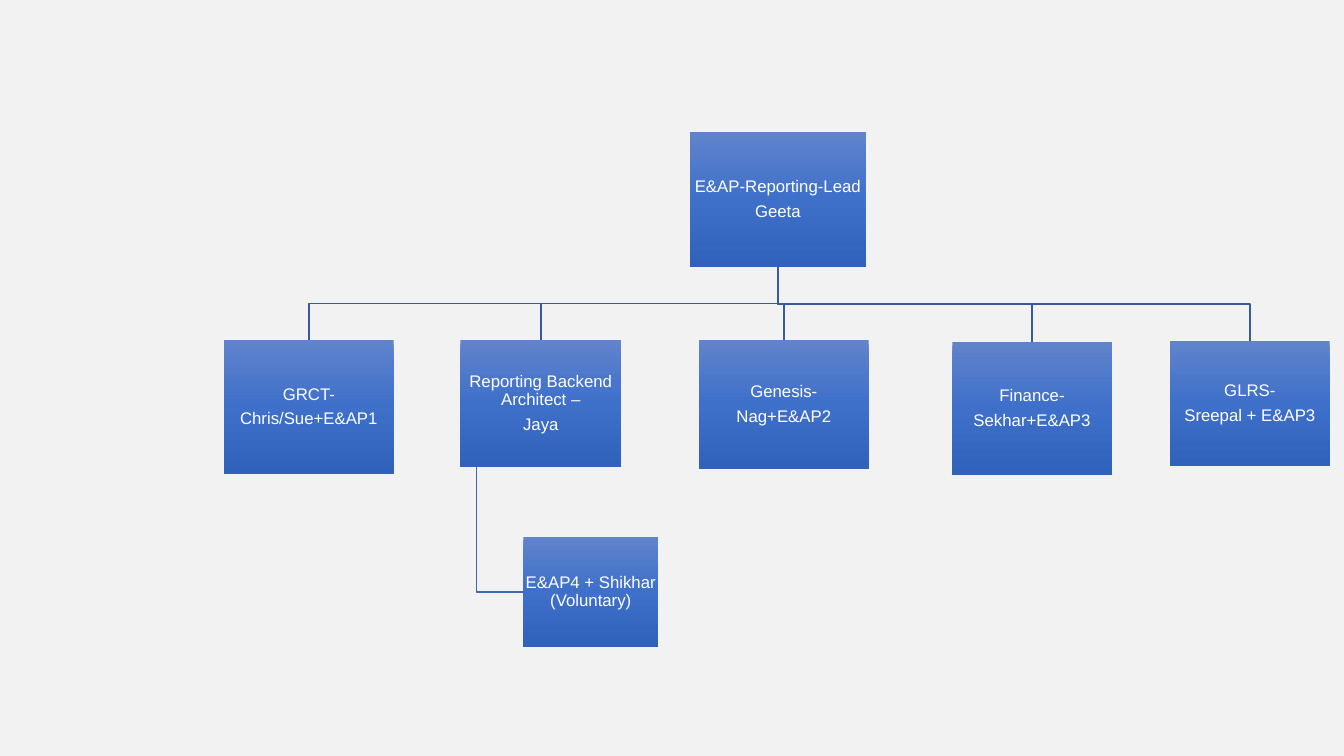
from copy import deepcopy

from pptx import Presentation
from pptx.dml.color import RGBColor
from pptx.enum.shapes import MSO_SHAPE as Kind
from pptx.enum.text import MSO_ANCHOR as Anchor, PP_ALIGN as Align
from pptx.oxml.ns import qn
from pptx.util import Cm, Pt

TOP, MID, LOW = "6183CB", "3E70CA", "3062BB"

# Each box: left, top, width, height in cm
LEAD = ((17.39, 3.33, 4.43, 3.4), "E&AP-Reporting-Lead\nGeeta")
BACKEND = ((11.6, 8.57, 4.06, 3.19), "Reporting Backend Architect –\nJaya")
TEAMS = [
    ((29.49, 8.59, 4.02, 3.15), "GLRS-\nSreepal + E&AP3"),
    ((24, 8.61, 4.02, 3.37), "Finance-\nSekhar+E&AP3"),
    ((17.62, 8.57, 4.27, 3.25), "Genesis-\nNag+E&AP2"),
    BACKEND,
    ((5.65, 8.57, 4.27, 3.37), "GRCT-\nChris/Sue+E&AP1"),
]
HELPER = ((13.19, 13.52, 3.4, 2.79), "E&AP4 + Shikhar (Voluntary)")


def color(code):
    return RGBColor.from_string(code)


def shade(shape):
    """Fill with a three-stop gradient, light at the top."""
    fill = shape.fill
    fill.gradient()
    fill.gradient_angle = 270
    first = shape._element.spPr.find(".//" + qn("a:gs"))
    first.addnext(deepcopy(first))
    for stop, pos, code in zip(fill.gradient_stops, (0, 0.5, 1), (TOP, MID, LOW)):
        stop.position = pos
        stop.color.rgb = color(code)


def add_box(slide, box, text):
    shape = slide.shapes.add_shape(Kind.RECTANGLE, *map(Cm, box))
    shape.shadow.inherit = False
    shape.line.fill.background()
    shade(shape)
    frame = shape.text_frame
    frame.word_wrap = True
    frame.vertical_anchor = Anchor.MIDDLE
    frame.margin_left = frame.margin_right = Cm(0.03)
    frame.margin_top = frame.margin_bottom = Cm(0.03)
    frame.text = text
    for para in frame.paragraphs:
        para.alignment = Align.CENTER
        para.line_spacing = 0.9
        para.space_after = Pt(4.7)
        for run in para.runs:
            run.font.name = "Arial"
            run.font.size = Pt(12)
            run.font.color.rgb = color("FFFFFF")


def add_path(slide, points, code):
    start, *rest = [(Cm(x), Cm(y)) for x, y in points]
    pen = slide.shapes.build_freeform(*start)
    pen.add_line_segments(rest, close=False)
    shape = pen.convert_to_shape()
    shape.shadow.inherit = False
    shape.fill.background()
    shape.line.color.rgb = color(code)
    shape.line.width = Pt(1)


def add_drop(slide, parent, child):
    """Link the foot of the parent to the top of the child, bending halfway."""
    left, top, width, height = parent
    x, y = left + width / 2, top + height
    end_x, end_y = child[0] + child[2] / 2, child[1]
    bend = (y + end_y) / 2
    add_path(slide, [(x, y), (x, bend), (end_x, bend), (end_x, end_y)], "365B9D")


def add_hang(slide, parent, child):
    """Link the parent, a tenth in from its left, to the child's left side."""
    left, top, width, height = parent
    x, end_y = left + width / 10, child[1] + child[3] / 2
    add_path(slide, [(x, top + height), (x, end_y), (child[0], end_y)], "3E67B2")


def add_chart(slide):
    for box, _ in TEAMS:
        add_drop(slide, LEAD[0], box)
    add_hang(slide, BACKEND[0], HELPER[0])
    for box, text in [LEAD, *TEAMS, HELPER]:
        add_box(slide, box, text)


def main():
    deck = Presentation()
    deck.slide_width, deck.slide_height = Cm(33.87), Cm(19.05)
    slide = deck.slides.add_slide(deck.slide_layouts[6])
    back = slide.background.fill
    back.solid()
    back.fore_color.rgb = color("F2F2F2")
    add_chart(slide)
    deck.save("out.pptx")


if __name__ == "__main__":
    main()
